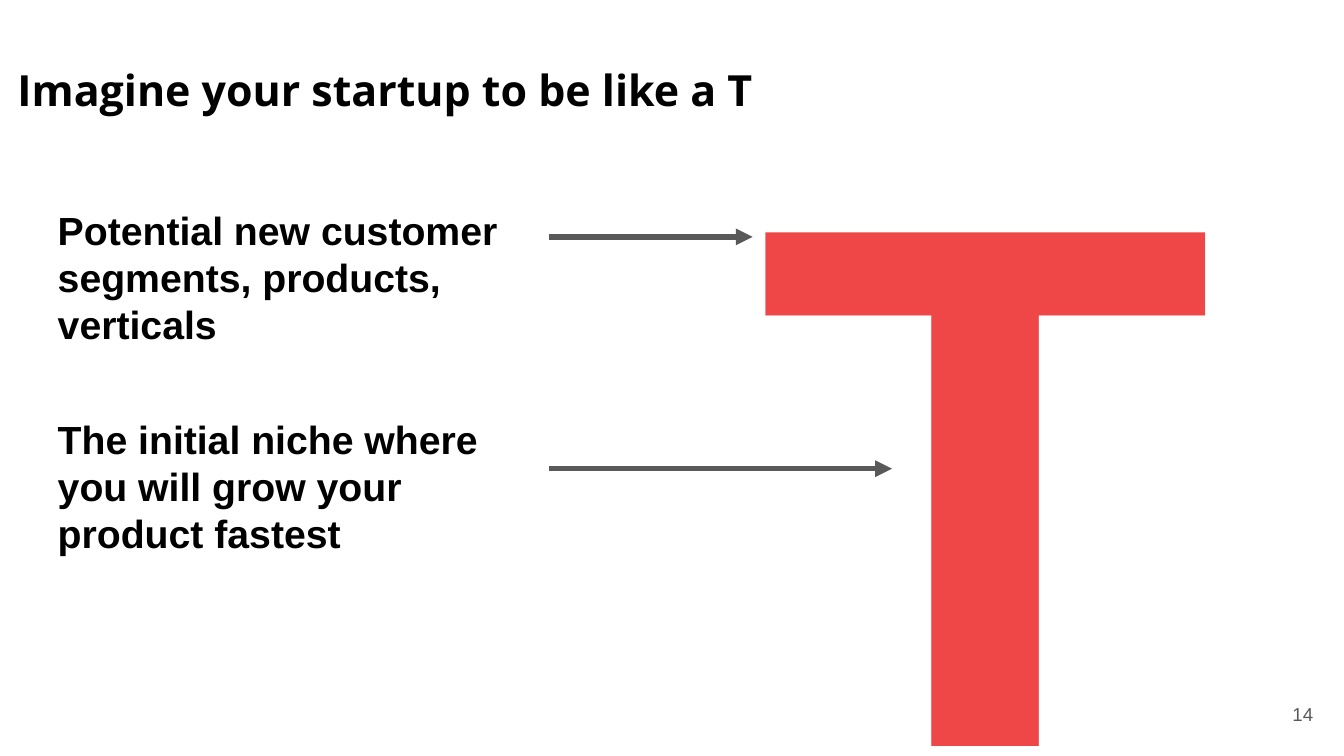
from pptx import Presentation
from pptx.dml.color import RGBColor
from pptx.enum.shapes import MSO_CONNECTOR as Conn
from pptx.enum.text import MSO_ANCHOR as Anchor, PP_ALIGN as Align
from pptx.oxml.ns import qn
from pptx.util import Pt
from lxml.etree import SubElement

SCALE = 5715  # EMU per px, 160 px to the inch


def px(n):
    return n * SCALE


def tint(code):
    return RGBColor.from_string(code)


class Deck:
    """Holds the style and the current slide."""
    font, head = "Arial", "Open Sans"
    ink, gray, red = "000000", "595959", "EF4747"

    def __init__(self, wide, high):
        self.prs = Presentation()
        self.prs.slide_width, self.prs.slide_height = px(wide), px(high)
        self.slide = self.prs.slides.add_slide(self.prs.slide_layouts[6])

    def text(self, words, box, size, color=ink, font=font, bold=True, pad=16,
             align=Align.LEFT, anchor=Anchor.TOP, space=None):
        shape = self.slide.shapes.add_textbox(*map(px, box))
        frame = shape.text_frame
        frame.word_wrap = True
        frame.vertical_anchor = anchor
        frame.margin_left = frame.margin_right = px(pad)
        frame.margin_top = frame.margin_bottom = px(pad)
        para = frame.paragraphs[0]
        para.alignment = align
        if space:
            para.line_spacing = space
        run = para.add_run()
        run.text = words
        run.font.name, run.font.size, run.font.bold = font, Pt(size), bold
        run.font.color.rgb = tint(color)

    def arrow(self, left, right, y):
        line = self.slide.shapes.add_connector(
            Conn.STRAIGHT, px(left), px(y), px(right), px(y))
        line.line.color.rgb = tint(self.gray)
        line.line.width = Pt(3)
        edge = line._element.spPr.find(qn("a:ln"))
        SubElement(edge, qn("a:tailEnd"), type="triangle")
        SubElement(line._element.spPr, qn("a:effectLst"))


def main():
    deck = Deck(1600, 900)
    deck.text("T", (902, 0, 392, 403), 400, deck.red, pad=0)
    deck.text("14", (1483, 816, 96, 69), 10, deck.gray, bold=False,
              align=Align.RIGHT, anchor=Anchor.MIDDLE)
    deck.text("Imagine your startup to be like a T", (5, 51, 1467, 131), 23,
              font=deck.head, space=1.15)
    notes = [
        ("The initial niche where you will grow your product fastest",
         (53, 478, 613, 80), 1062, 558),
        ("Potential new customer segments, products, verticals",
         (53, 230, 646, 80), 896, 282),
    ]
    for words, box, tip, y in notes:
        deck.text(words, box, 21)
        deck.arrow(654, tip, y)
    deck.prs.save("out.pptx")


if __name__ == "__main__":
    main()
